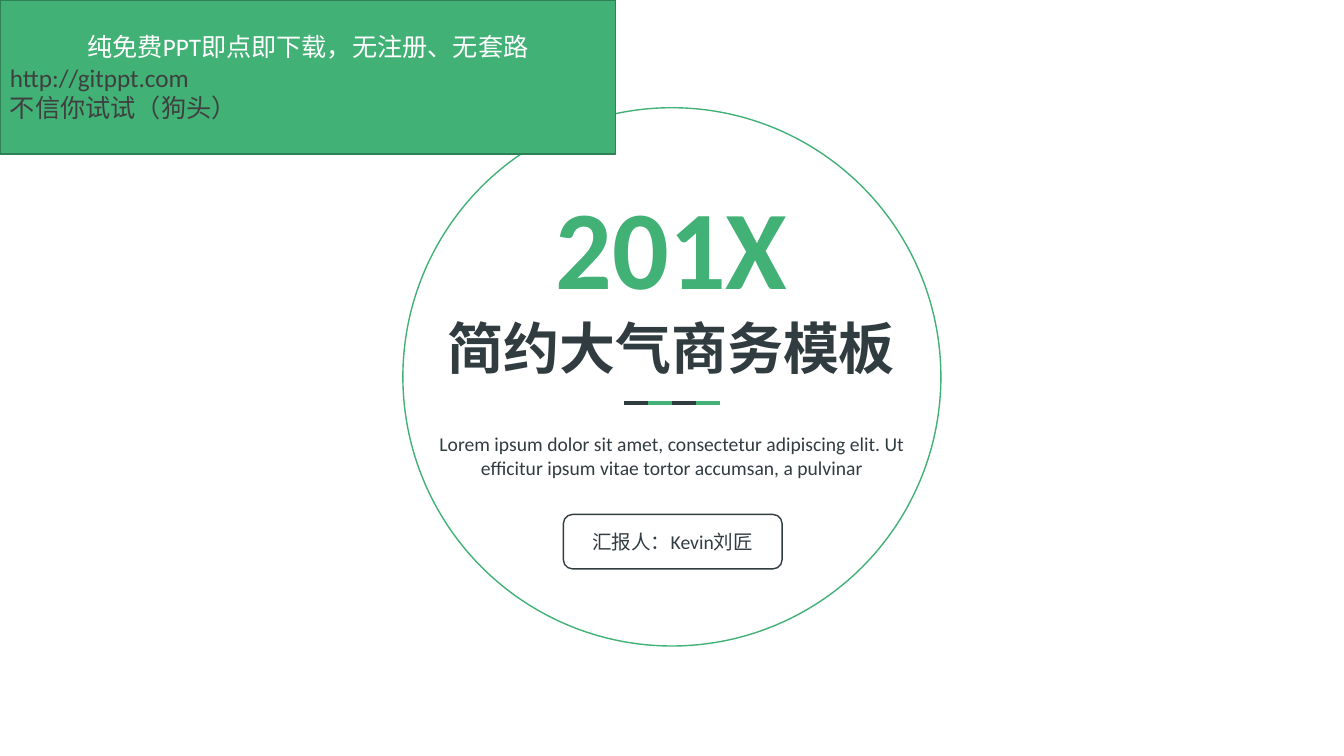
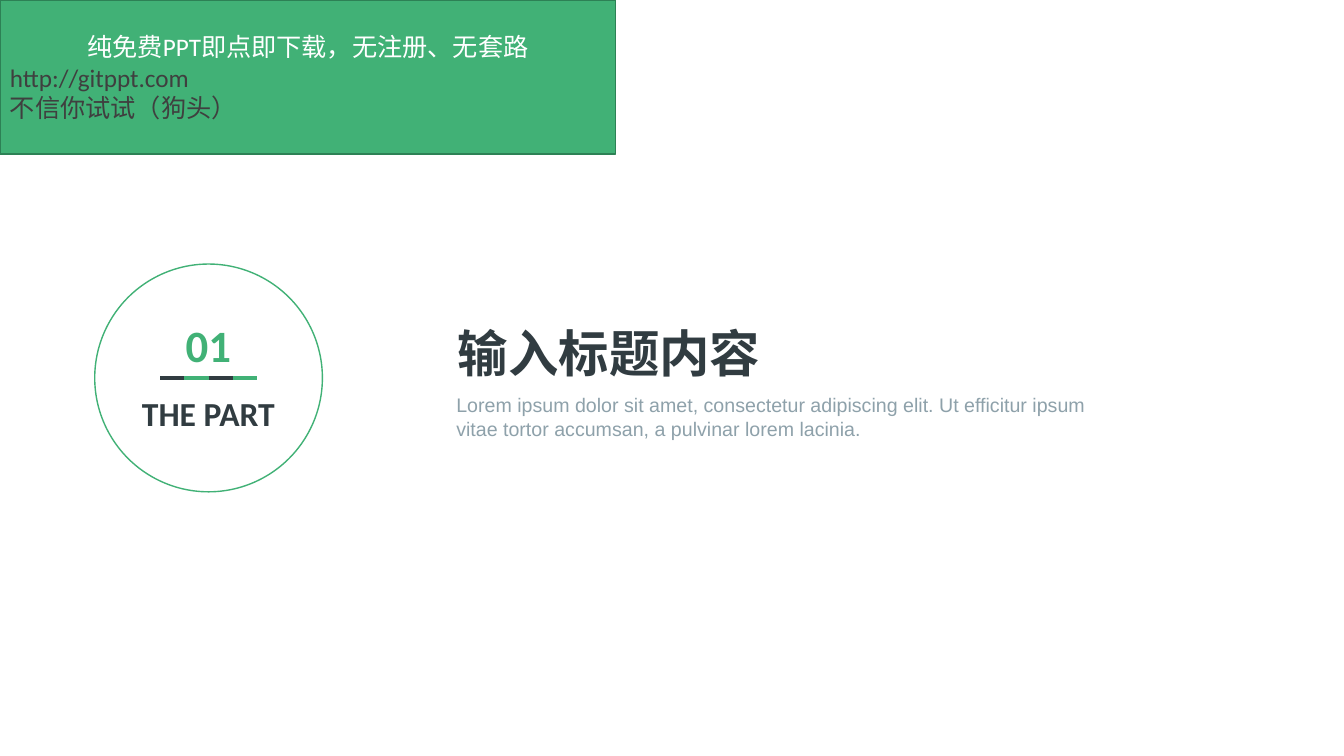
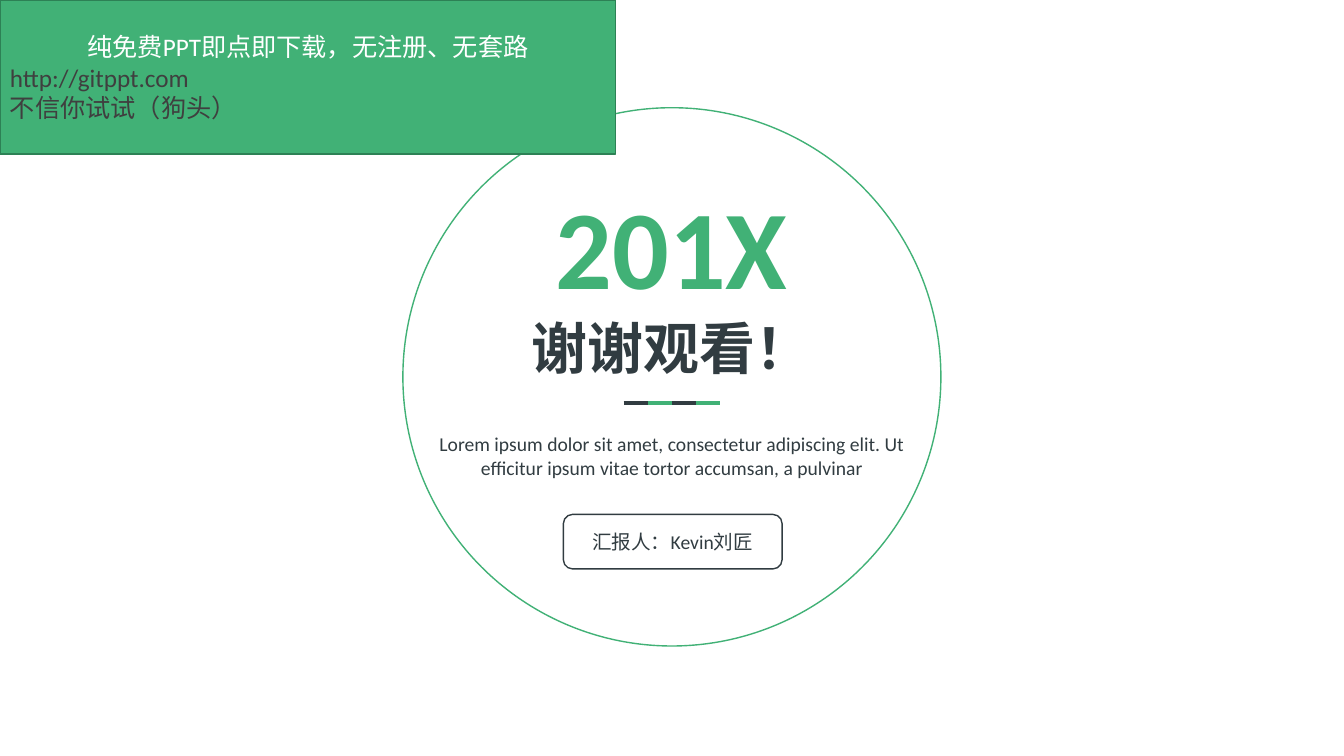
from pptx import Presentation
from pptx.dml.color import RGBColor
from pptx.enum.shapes import MSO_CONNECTOR, MSO_SHAPE
from pptx.enum.text import MSO_ANCHOR, MSO_AUTO_SIZE, PP_ALIGN
from pptx.util import Inches, Pt
from lxml import etree

RECT, OVAL, ROUND = MSO_SHAPE.RECTANGLE, MSO_SHAPE.OVAL, MSO_SHAPE.ROUNDED_RECTANGLE
LEFT, MID = PP_ALIGN.LEFT, PP_ALIGN.CENTER
TOP, HALF = MSO_ANCHOR.TOP, MSO_ANCHOR.MIDDLE
LINE, FIXED = MSO_CONNECTOR.STRAIGHT, MSO_AUTO_SIZE.NONE
GREEN, DARK, GREY, EDGE = "41B176", "313C41", "8EA1AA", "2D8155"
WHITE, COAL = "FFFFFF", "3F3F3F"
EFFECT = "{http://schemas.openxmlformats.org/drawingml/2006/main}effectLst"

deck = Presentation()
deck.slide_width, deck.slide_height = Inches(13.34), Inches(7.5)
# The grid has 100 columns and 100 rows; boxes are left, top, width, height.
COL, ROW = deck.slide_width / 100, deck.slide_height / 100


def tint(code):
    return RGBColor.from_string(code)


def grid(left, top, wide, high):
    """Turn columns and rows into slide lengths."""
    return [round(n) for n in (left * COL, top * ROW, wide * COL, high * ROW)]


# Text styles: size, bold, colour, font, wrap, alignment
YEAR = (80, True, GREEN, "Calibri", False, MID)
HEAD = (40, True, DARK, "Calibri", False, MID)
BODY = (14, False, DARK, "Calibri", True, MID)
TOPIC = (36, True, DARK, "Calibri", False, LEFT)
NOTE = (14, False, GREY, "Arial", True, LEFT)
COUNT = (32, True, GREEN, "Calibri", False, MID)
PART = (24, True, DARK, "Calibri", True, MID)
LEAD = (18, False, WHITE, "Calibri", True, MID)
REST = (18, False, COAL, "Calibri", True, LEFT)

LOREM = "Lorem ipsum dolor sit amet, consectetur adipiscing elit. Ut efficitur ipsum vitae tortor accumsan, a pulvinar"

# Outlined shapes: form, fill, line
FORMS = {
    "badge": (ROUND, None, DARK),
    "ring": (OVAL, None, GREEN),
    "band": (RECT, GREEN, EDGE),
}
BAND = ("band", (0, 0, 45.82, 20.4), [
    ("纯免费PPT即点即下载，无注册、无套路", LEAD),
    ("http://gitppt.com", REST),
    ("不信你试试（狗头）", REST),
])

covers = [
    {
        "dash": (46.4, 53.33),
        "items": [
            ("title", (32.55, 40.8, 34.8, 10.27), [(head, HEAD)]),
            ("sub", (31.33, 56.5, 37.34, 7.6), [(LOREM, BODY)]),
            ("box", (40.63, 22.8, 18.74, 19.2), [("201X", YEAR)]),
            ("badge", (41.92, 68.05, 16.27, 7.2), [("汇报人：Kevin刘匠", BODY)]),
            ("ring", (29.98, 14.25, 40.03, 71.2), []),
        ],
    }
    for head in ("简约大气商务模板", "谢谢观看！")
]
section = {
    "dash": (11.92, 50),
    "items": [
        ("title", (33.32, 41.9, 24, 9.33), [("输入标题内容", TOPIC)]),
        ("sub", (33.2, 51.33, 49.1, 7.6), [(LOREM + " lorem lacinia.", NOTE)]),
        ("box", (13.08, 41.33, 4.87, 8.53), [("01", COUNT)]),
        ("box", (4.15, 51.25, 22.71, 6.67), [("THE PART", PART)]),
        ("ring", (7.05, 34.93, 16.94, 30.13), []),
    ],
}

for page in (covers[0], section, covers[1]):
    slide = deck.slides.add_slide(deck.slide_layouts[0])
    shapes = slide.shapes

    for kind, box, lines in page["items"] + [BAND]:
        area = grid(*box)
        if kind in FORMS:
            form, fill, edge = FORMS[kind]
            item = shapes.add_shape(form, *area)
            item.shadow.inherit = False
            item.line.color.rgb, item.line.width = tint(edge), Pt(1)
            if fill:
                item.fill.solid()
                item.fill.fore_color.rgb = tint(fill)
            else:
                item.fill.background()
        elif kind == "box":
            item = shapes.add_textbox(*area)
        else:
            item = shapes.title if kind == "title" else slide.placeholders[1]
            item.left, item.top, item.width, item.height = area

        if not lines:
            continue
        frame = item.text_frame
        frame.text = "\n".join(text for text, _ in lines)
        anchor = HALF if kind in FORMS else TOP
        for para, (_, style) in zip(frame.paragraphs, lines):
            size, bold, ink, face, wrap, align = style
            font = para.runs[0].font
            looks = (
                (frame, {"word_wrap": wrap, "auto_size": FIXED, "vertical_anchor": anchor}),
                (para, {"alignment": align, "space_before": Pt(0)}),
                (font, {"size": Pt(size), "bold": bold, "name": face}),
                (font.color, {"rgb": tint(ink)}),
            )
            for part, values in looks:
                for name, value in values.items():
                    setattr(part, name, value)

    # Divider of four dashes in alternating colours
    group = shapes.add_group_shape()
    start, level = page["dash"]
    for step in range(4):
        x, y, wide, _ = grid(start + step * 1.8, level, 1.8, 0)
        dash = group.shapes.add_connector(LINE, x, y, x + wide, y)
        dash.line.color.rgb = tint((DARK, GREEN)[step % 2])
        dash.line.width = Pt(3)
        etree.SubElement(dash._element.spPr, EFFECT)

deck.save("out.pptx")
